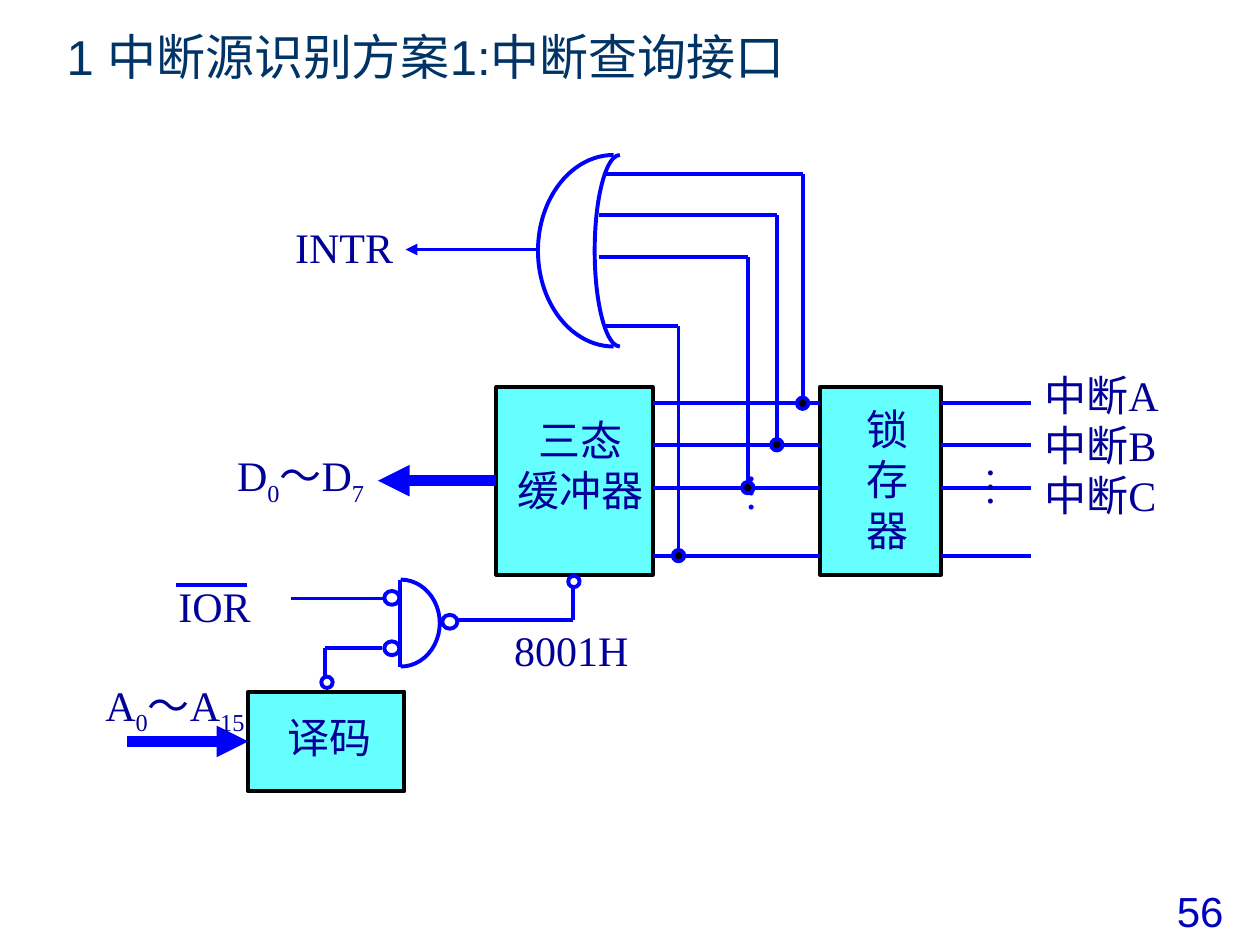
from dataclasses import dataclass
from typing import NamedTuple, Optional

from lxml.etree import SubElement
from pptx import Presentation
from pptx.dml.color import RGBColor as RGB
from pptx.enum.shapes import MSO_CONNECTOR as Link, MSO_SHAPE as Kind
from pptx.enum.text import MSO_ANCHOR as Anchor, PP_ALIGN as Align
from pptx.oxml.ns import qn
from pptx.util import Inches, Pt


@dataclass(frozen=True)
class Theme:
    wire: RGB = RGB(0x00, 0x00, 0xFF)
    label: RGB = RGB(0x00, 0x00, 0x99)
    title: RGB = RGB(0x00, 0x33, 0x66)
    number: RGB = RGB(0x00, 0x00, 0xBF)
    block: RGB = RGB(0x66, 0xFF, 0xFF)
    black: RGB = RGB(0x00, 0x00, 0x00)
    heading_font: str = "Arial"
    label_font: str = "Times New Roman"
    title_size: float = 28
    label_size: float = 24
    wire_width: float = 2.25
    bus_width: float = 6


class Box(NamedTuple):
    col: float
    row: float
    cols: float
    rows: float


class Point(NamedTuple):
    col: float
    row: float


class Signal(NamedTuple):
    row: float
    tap_col: float
    gate: Point


class Label(NamedTuple):
    text: str
    box: Box
    align: Align = Align.CENTER
    color: RGB = Theme.label
    vertical: bool = False


class Arc(NamedTuple):
    box: Box
    start: float
    end: float


THEME = Theme()
COLUMNS, ROWS = 100, 75
ARC_UNIT = 0.6
DOT = 0.9

BUFFER = Box(39.4, 30.7, 12.4, 14.9)
LATCH = Box(65.1, 30.7, 9.6, 14.9)
DECODER = Box(19.7, 54.9, 12.4, 7.9)
BUFFER_RIGHT = BUFFER.col + BUFFER.cols
LATCH_RIGHT = LATCH.col + LATCH.cols
REQUEST_LENGTH = 7.1

SIGNALS = [
    Signal(32, 63.7, Point(48, 13.8)),
    Signal(35.3, 61.65, Point(47.5, 17.1)),
    Signal(38.7, 59.35, Point(47.5, 20.4)),
    Signal(44.1, 53.85, Point(48.1, 25.9)),
]

GATE_ARCS = [
    Arc(Box(42.7, 12.3, 12, 15.2), 90, 270),
    Arc(Box(47.2, 12.3, 4, 15.2), 90, 270),
    Arc(Box(28.7, 46, 6.2, 6.9), 270, 90),
]

BUBBLES = [
    Box(25.5, 53.7, DOT, DOT),
    Box(45.1, 45.7, DOT, DOT),
    Box(35.1, 48.8, 1.2, 1.1),
    Box(30.5, 46.9, 1.2, 1.1),
    Box(30.5, 50.9, 1.2, 1.1),
]

CONTROL_WIRES = [
    (Point(30.5, 47.5), Point(23.1, 47.5)),
    (Point(30.3, 51.4), Point(25.8, 51.4)),
    (Point(25.8, 51.4), Point(25.8, 53.8)),
    (Point(36.2, 49.2), Point(45.5, 49.2)),
    (Point(45.5, 49.2), Point(45.5, 46.5)),
    (Point(31.75, 46), Point(31.75, 52.9)),
    (Point(19.6, 46.4), Point(14, 46.4)),
]

LABELS = [
    Label("A|0|～A|15", Box(4.2, 53.8, 15.3, 6.4), Align.RIGHT),
    Label("D|0|～D|7", Box(15.7, 35.6, 13.3, 8), Align.RIGHT),
    Label("INTR", Box(20.3, 17.5, 11, 4.5), Align.RIGHT),
    Label("IOR", Box(9, 46, 11, 4.5), Align.RIGHT),
    Label("8001H", Box(40.7, 49.5, 13.3, 4.5), Align.LEFT),
    Label("中断A\n中断B\n中断C", Box(82.8, 29.2, 11.3, 15.4), Align.LEFT),
    Label("锁\n存\n器", Box(67.2, 31.9, 6.5, 15.5)),
    Label("三态\n缓冲器", Box(38.5, 32.8, 15.1, 14.9)),
    Label("译码", Box(18.6, 56.4, 15.1, 5.5)),
    Label("…", Box(56.9, 37.4, 6, 8.7), color=THEME.wire, vertical=True),
    Label("…", Box(75.9, 36.9, 6, 8.7), vertical=True),
]

deck = Presentation()
deck.slide_width, deck.slide_height = Inches(10), Inches(7.5)
slide = deck.slides.add_slide(deck.slide_layouts[6])
shapes = slide.shapes


def across(cols: float) -> int:
    return round(deck.slide_width * cols / COLUMNS)


def down(rows: float) -> int:
    return round(deck.slide_height * rows / ROWS)


def place(box: Box) -> tuple:
    return across(box.col), down(box.row), across(box.cols), down(box.rows)


def draw_shape(kind: Kind, box: Box, line: RGB, fill: Optional[RGB] = None):
    shape = shapes.add_shape(kind, *place(box))
    shape.shadow.inherit = False
    shape.line.color.rgb = line
    shape.line.width = Pt(THEME.wire_width)
    if fill is None:
        shape.fill.background()
    else:
        shape.fill.solid()
        shape.fill.fore_color.rgb = fill
    return shape


def draw_wire(start: Point, end: Point, width: float = THEME.wire_width,
              arrow: bool = False):
    wire = shapes.add_connector(Link.STRAIGHT, across(start.col), down(start.row),
                                across(end.col), down(end.row))
    wire.line.color.rgb = THEME.wire
    wire.line.width = Pt(width)
    properties = wire._element.spPr
    if arrow:
        SubElement(properties.find(qn("a:ln")), qn("a:tailEnd"), type="triangle")
    SubElement(properties, qn("a:effectLst"))
    return wire


def draw_arc(arc: Arc) -> None:
    shape = draw_shape(Kind.ARC, arc.box, THEME.wire)
    shape.adjustments[0] = arc.start * ARC_UNIT
    shape.adjustments[1] = arc.end * ARC_UNIT


def add_text_frame(box: Box):
    frame = shapes.add_textbox(*place(box)).text_frame
    frame.word_wrap = True
    return frame


def draw_heading(text: str, box: Box, size: float, color: RGB, align: Align) -> None:
    frame = add_text_frame(box)
    frame.vertical_anchor = Anchor.MIDDLE
    frame.text = text
    paragraph = frame.paragraphs[0]
    paragraph.alignment = align
    font = paragraph.runs[0].font
    font.name, font.size, font.color.rgb = THEME.heading_font, Pt(size), color


def draw_label(label: Label) -> None:
    frame = add_text_frame(label.box)
    frame.margin_left = frame.margin_right = Inches(0.01)
    frame.margin_top = frame.margin_bottom = Inches(0.01)
    if label.vertical:
        frame._txBody.bodyPr.set("vert", "eaVert")
    for index, text in enumerate(label.text.split("\n")):
        paragraph = frame.add_paragraph() if index else frame.paragraphs[0]
        paragraph.alignment = label.align
        for part, piece in enumerate(text.split("|")):
            run = paragraph.add_run()
            run.text = piece
            font = run.font
            font.name, font.size = THEME.label_font, Pt(THEME.label_size)
            font.color.rgb = label.color
            if part % 2:
                run._r.get_or_add_rPr().set("baseline", "-25000")


def draw_signal(signal: Signal) -> None:
    row, tap_col, gate = signal
    corner = Point(tap_col, gate.row)
    draw_wire(Point(BUFFER_RIGHT, row), Point(LATCH.col, row))
    draw_wire(Point(LATCH_RIGHT, row), Point(LATCH_RIGHT + REQUEST_LENGTH, row))
    draw_wire(gate, corner)
    draw_wire(corner, Point(tap_col, row))
    dot = Box(tap_col - DOT / 2, row - DOT / 2, DOT, DOT)
    draw_shape(Kind.OVAL, dot, THEME.wire, THEME.black)


draw_heading("1 中断源识别方案1:中断查询接口", Box(4.3, 1.3, 84.3, 6.3),
             THEME.title_size, THEME.title, Align.LEFT)
draw_heading("56", Box(91.7, 69.8, 7.1, 5), THEME.label_size, THEME.number, Align.CENTER)

buffer, latch, decoder = [draw_shape(Kind.RECTANGLE, box, THEME.black, THEME.block)
                          for box in (BUFFER, LATCH, DECODER)]
for signal in SIGNALS:
    draw_signal(signal)
for arc in GATE_ARCS:
    draw_arc(arc)
for start, end in CONTROL_WIRES:
    draw_wire(start, end)
for bubble in BUBBLES:
    draw_shape(Kind.OVAL, bubble, THEME.wire)

draw_wire(Point(42.5, 19.8), Point(32.2, 19.8), arrow=True)
data_row = BUFFER.row + BUFFER.rows / 2
data_bus = draw_wire(Point(BUFFER.col, data_row), Point(30, data_row), THEME.bus_width, True)
data_bus.begin_connect(buffer, 1)
address_row = DECODER.row + DECODER.rows / 2
address_bus = draw_wire(Point(10.1, address_row), Point(DECODER.col, address_row),
                        THEME.bus_width, True)
address_bus.end_connect(decoder, 1)

for label in LABELS:
    draw_label(label)

deck.save("out.pptx")
